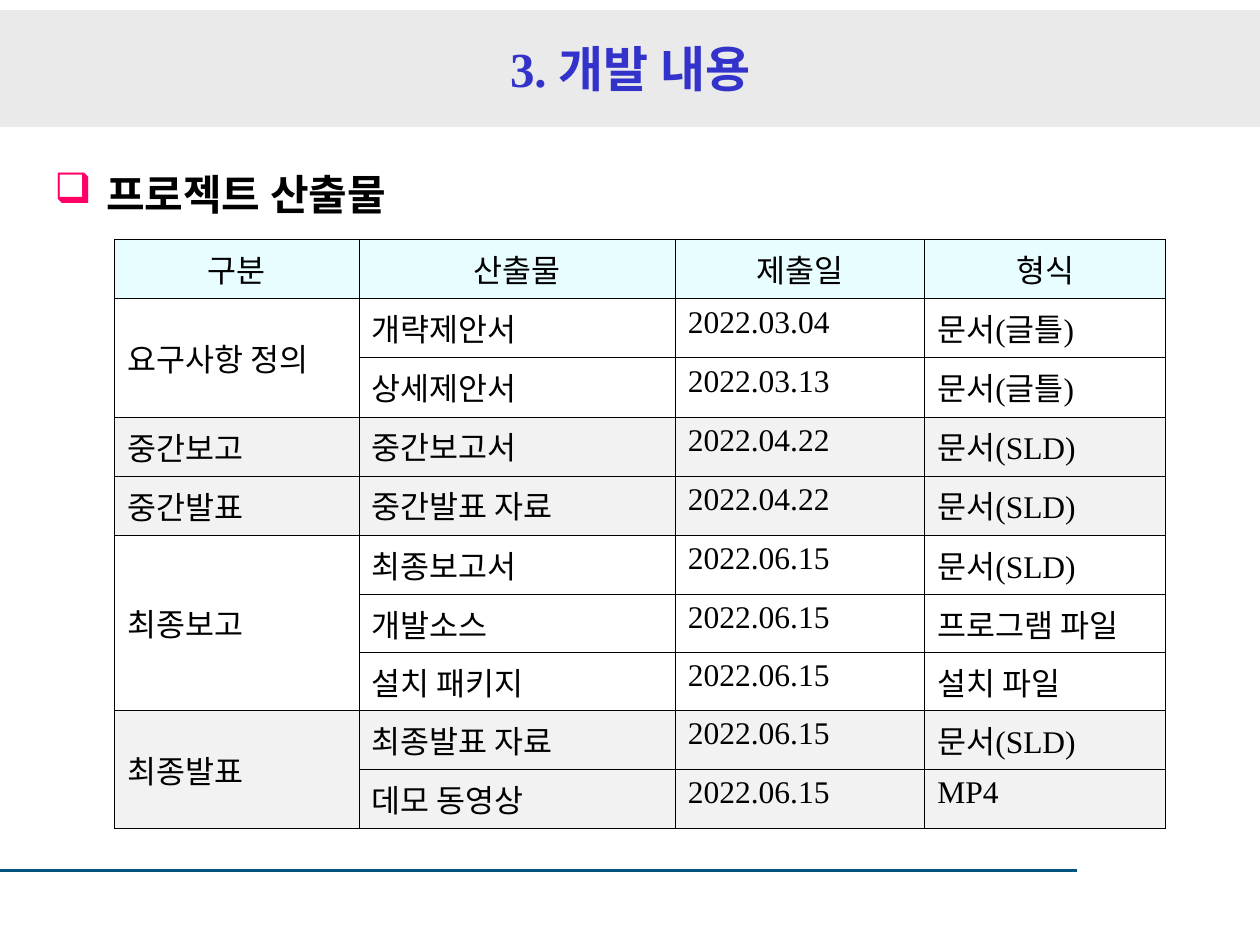
from lxml import etree
from pptx import Presentation
from pptx.dml.color import RGBColor
from pptx.enum.shapes import MSO_CONNECTOR, MSO_SHAPE
from pptx.enum.text import MSO_ANCHOR, PP_ALIGN
from pptx.oxml.ns import qn
from pptx.util import Inches, Pt

RECTANGLE = MSO_SHAPE.RECTANGLE
STRAIGHT = MSO_CONNECTOR.STRAIGHT
TOP, MIDDLE = MSO_ANCHOR.TOP, MSO_ANCHOR.MIDDLE
LEFT, CENTER = PP_ALIGN.LEFT, PP_ALIGN.CENTER

BLACK = RGBColor(0x00, 0x00, 0x00)
BLUE = RGBColor(0x33, 0x33, 0xCC)
NAVY = RGBColor(0x00, 0x53, 0x7C)
PINK = RGBColor(0xFF, 0x00, 0x66)
BAND_GRAY = RGBColor(0xEA, 0xEA, 0xEA)
ROW_GRAY = RGBColor(0xF2, 0xF2, 0xF2)
HEADER_CYAN = RGBColor(0xE7, 0xFD, 0xFF)

WIDTH, HEIGHT = Inches(10), Inches(7.5)
MARGIN = round(WIDTH / 30)
BORDER_WIDTH = Pt(0.45)


def write(para, text, color, **formats):
    span = para.add_run()
    span.text = text
    span.font.color.rgb = color
    for name, value in {"name": "Times New Roman", **formats}.items():
        setattr(span.font, name, value)


def add_color(parent, tag, color):
    holder = etree.SubElement(parent, qn(tag))
    etree.SubElement(holder, qn("a:srgbClr"), val=str(color))


deck = Presentation()
deck.slide_width, deck.slide_height = WIDTH, HEIGHT
page = deck.slides.add_slide(deck.slide_layouts[6])

band = page.shapes.add_shape(RECTANGLE, 0, Inches(0.08), WIDTH, Inches(0.93))
band.shadow.inherit = False
band.fill.solid()
band.fill.fore_color.rgb = BAND_GRAY
band.line.fill.background()

rule_y = Inches(6.91)
rule = page.shapes.add_connector(STRAIGHT, 0, rule_y, round(WIDTH * 0.855), rule_y)
rule.line.color.rgb = NAVY
rule.line.width = Pt(1.5)
etree.SubElement(rule.element.spPr, qn("a:effectLst"))

text_width = WIDTH - 2 * MARGIN
title_box = page.shapes.add_textbox(MARGIN, Inches(0.16), text_width, HEIGHT // 10)
title_box.text_frame.word_wrap = True
title_box.text_frame.vertical_anchor = MIDDLE
title = title_box.text_frame.paragraphs[0]
title.alignment = CENTER
write(title, "3. 개발 내용", BLUE, size=Pt(28), bold=True)

body_box = page.shapes.add_textbox(MARGIN, Inches(1.29), text_width, Inches(5.5))
body_box.text_frame.word_wrap = True
heading = body_box.text_frame.paragraphs[0]
heading.space_before = Pt(6)
write(heading, "프로젝트 산출물", BLACK, size=Pt(24), bold=True)
indent = Inches(0.41)
props = heading._p.get_or_add_pPr()
props.set("marL", str(indent))
props.set("indent", str(-indent))
add_color(props, "a:buClr", PINK)
etree.SubElement(props, qn("a:buChar"), char="❑")

header = ["구분", "산출물", "제출일", "형식"]
stages = [
    ("요구사항 정의", None, [
        ("개략제안서", "2022.03.04", "문서(글틀)"),
        ("상세제안서", "2022.03.13", "문서(글틀)")]),
    ("중간보고", ROW_GRAY, [("중간보고서", "2022.04.22", "문서(SLD)")]),
    ("중간발표", ROW_GRAY, [("중간발표 자료", "2022.04.22", "문서(SLD)")]),
    ("최종보고", None, [
        ("최종보고서", "2022.06.15", "문서(SLD)"),
        ("개발소스", "2022.06.15", "프로그램 파일"),
        ("설치 패키지", "2022.06.15", "설치 파일")]),
    ("최종발표", ROW_GRAY, [
        ("최종발표 자료", "2022.06.15", "문서(SLD)"),
        ("데모 동영상", "2022.06.15", "MP4")]),
]

rows = [(header, HEADER_CYAN)]
merges = []
for stage, fill, outputs in stages:
    merges.append((len(rows), len(rows) + len(outputs) - 1))
    for index, output in enumerate(outputs):
        rows.append(([stage if index == 0 else "", *output], fill))

column_widths = [1.94, 2.51, 1.98, 1.91]
row_heights = [0.47] * 6 + [0.46] * 2 + [0.47] * 2
table = page.shapes.add_table(
    len(rows), len(header), Inches(0.91), Inches(1.9),
    Inches(sum(column_widths)), Inches(sum(row_heights))).table
for flag in ("first_row", "horz_banding"):
    setattr(table, flag, False)
for column, width in zip(table.columns, column_widths):
    column.width = Inches(width)
for row, height in zip(table.rows, row_heights):
    row.height = Inches(height)

for row_index, (texts, fill) in enumerate(rows):
    for column_index, text in enumerate(texts):
        cell = table.cell(row_index, column_index)
        is_header = row_index == 0
        cell.vertical_anchor = MIDDLE if is_header or column_index == 0 else TOP
        cell_props = cell._tc.get_or_add_tcPr()
        for side in ("a:lnL", "a:lnR", "a:lnT", "a:lnB"):
            edge = etree.SubElement(cell_props, qn(side), w=str(BORDER_WIDTH))
            add_color(edge, "a:solidFill", BLACK)
        if fill is None:
            cell.fill.background()
        else:
            cell.fill.solid()
            cell.fill.fore_color.rgb = fill
        if text:
            para = cell.text_frame.paragraphs[0]
            para.alignment = CENTER if is_header else LEFT
            write(para, text, BLACK, size=Pt(18))

for first, last in merges:
    if last > first:
        table.cell(first, 0).merge(table.cell(last, 0))

deck.save("out.pptx")
